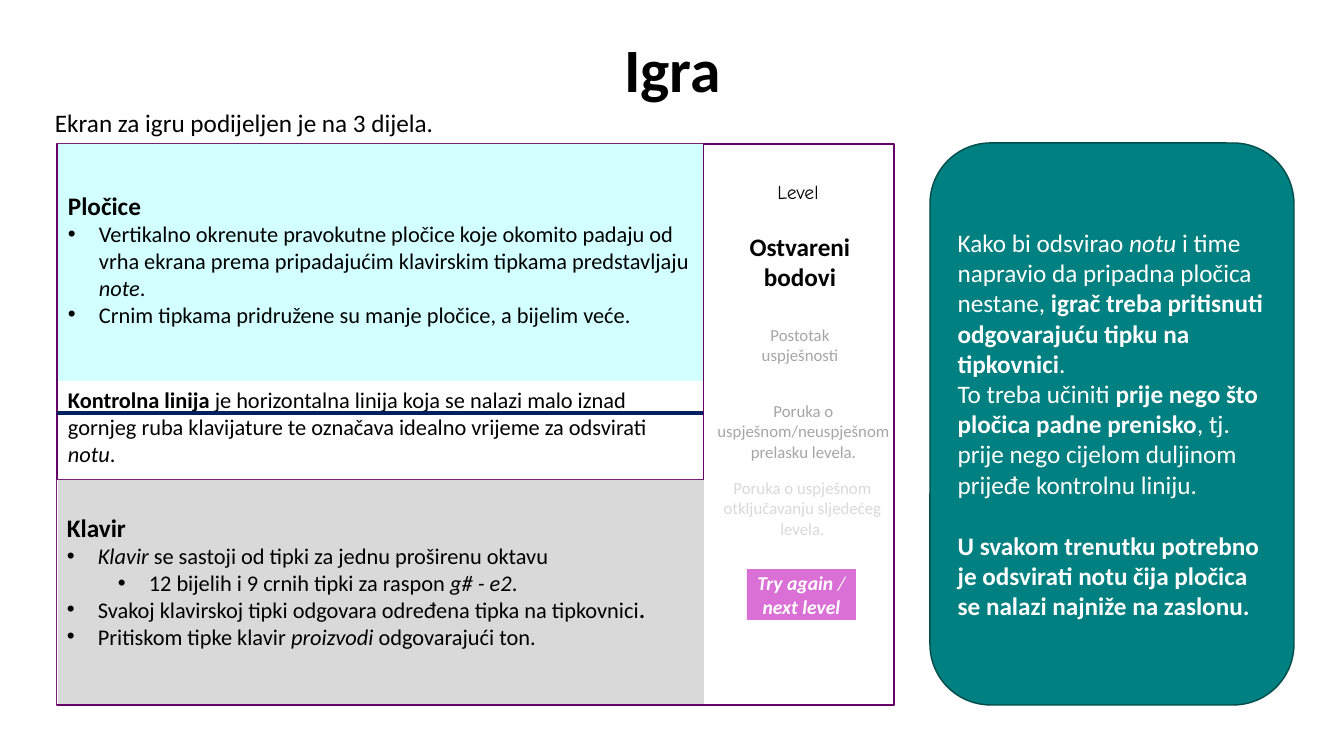
"""Build the slide that explains the three parts of the piano game screen."""
from lxml import etree
from pptx import Presentation
from pptx import util as u
from pptx.dml.color import RGBColor
from pptx.enum import dml, shapes, text
from pptx.oxml.ns import qn

EMU_PER_PIXEL = 914400 / 100.8
WHITE = RGBColor(0xFF, 0xFF, 0xFF)
BLACK = RGBColor(0x00, 0x00, 0x00)
PURPLE = RGBColor(0x66, 0x00, 0x66)
NAVY = RGBColor(0x00, 0x20, 0x60)
CYAN = RGBColor(0xD2, 0xFF, 0xFF)
LIGHT_GRAY = RGBColor(0xD9, 0xD9, 0xD9)
GRAY = RGBColor(0xA6, 0xA6, 0xA6)
TEAL = RGBColor(0x00, 0x80, 0x80)
DARK_TEAL = RGBColor(0x00, 0x4C, 0x4A)
ORCHID = RGBColor(0xDA, 0x70, 0xD6)
RECT = shapes.MSO_SHAPE.RECTANGLE
ROUNDED = shapes.MSO_SHAPE.ROUNDED_RECTANGLE
TOP, MIDDLE = text.MSO_ANCHOR.TOP, text.MSO_ANCHOR.MIDDLE
CENTER, LEFT = text.PP_ALIGN.CENTER, text.PP_ALIGN.LEFT

INDENT = 31
BULLET = {"size": 16, "indent": INDENT}
SUBBULLET = {"size": 16, "indent": 82, "level": 1}

TITLE = [({}, [("Igra", "b")])]
INTRO = [({}, [("Ekran za igru podijeljen je na 3 dijela.", "")])]
KEYBOARD = [
    ({}, [("Klavir", "b")]),
    (BULLET, [("Klavir", "i"), (" se sastoji od tipki za jednu proširenu oktavu", "")]),
    (SUBBULLET, [("12 bijelih i 9 crnih tipki za raspon ", ""), ("g# - e2", "i"), (".", "")]),
    (BULLET, [("Svakoj klavirskoj tipki odgovara određena tipka na tipkovnici", ""),
              (".", "b")]),
    (BULLET, [("Pritiskom tipke klavir ", ""), ("proizvodi ", "i"),
              ("odgovarajući ton.", "")]),
]
TILES = [
    ({}, [("Pločice", "b")]),
    (BULLET, [("Vertikalno okrenute pravokutne pločice koje okomito padaju od vrha ekrana "
               "prema pripadajućim klavirskim tipkama predstavljaju ", ""),
              ("note", "i"), (".", "")]),
    (BULLET, [("Crnim tipkama pridružene su manje pločice, a bijelim veće.", "")]),
]
CONTROL = [
    ({"size": 16}, [("Kontrolna linija ", "b"),
                    ("je horizontalna linija koja se nalazi malo iznad gornjeg ruba "
                     "klavijature te označava idealno vrijeme za odsvirati ", ""),
                    ("notu", "i"), (".", "")]),
]
RULES = [
    ({}, [("Kako bi odsvirao ", ""), ("notu ", "i"),
          ("i time napravio da pripadna pločica nestane, ", ""),
          ("igrač treba pritisnuti odgovarajuću tipku na tipkovnici", "b"), (".", "")]),
    ({}, [("To treba učiniti ", ""), ("prije nego što pločica padne prenisko", "b"),
          (", tj. prije nego cijelom duljinom prijeđe kontrolnu liniju.", "")]),
    ({"before": 22}, [("U svakom trenutku potrebno je odsvirati notu čija pločica se nalazi "
                       "najniže na zaslonu.", "b")]),
]
BUTTON = [({}, [("Try again ", "bi"), ("/ ", "i"), ("next level", "bi")])]
POINTS = [({}, [("Ostvareni", "b")]), ({}, [("bodovi", "b")])]
PERCENT = [({}, [("Postotak", "")]), ({}, [("uspješnosti", "")])]
UNLOCKED = [({}, [("Poruka o uspješnom otključavanju sljedećeg levela.", "")])]
RESULT = [({}, [("Poruka o uspješnom/neuspješnom prelasku levela.", "")])]
LEVEL = [({}, [("Level", "")])]

FRAME_LEFT, FRAME_TOP, DIVIDER, FRAME_BOTTOM = 57, 144, 703, 705
FRAME_RIGHT, CONTROL_TOP, KEYBOARD_TOP = 894, 381, 479
PART_WIDTH = DIVIDER - FRAME_LEFT

THIN_LINES = [
    (DIVIDER, FRAME_TOP, DIVIDER, FRAME_BOTTOM),
    (DIVIDER, KEYBOARD_TOP, FRAME_LEFT, KEYBOARD_TOP),
]
PARTS = [
    ((FRAME_LEFT, KEYBOARD_TOP + 1, PART_WIDTH, 224), LIGHT_GRAY, KEYBOARD, {"inset": 32}),
    ((FRAME_LEFT + 1, FRAME_TOP, PART_WIDTH - 1, 259), CYAN, TILES, {"inset": 46}),
    ((FRAME_LEFT + 1, CONTROL_TOP, PART_WIDTH - 1, 95), WHITE, CONTROL, {}),
]
LABELS = [
    ((45, 102, 401, 40), INTRO, {}),
    ((723, 226, 154, 72), POINTS, {"align": CENTER}),
    ((747, 320, 106, 50), PERCENT, {"align": CENTER, "size": 12, "color": GRAY}),
    ((703, 473, 199, 72), UNLOCKED, {"align": CENTER, "size": 12, "color": LIGHT_GRAY}),
    ((704, 396, 199, 72), RESULT, {"align": CENTER, "size": 12, "color": GRAY}),
    ((721, 175, 154, 34), LEVEL, {"align": CENTER, "size": 14, "font": "Comic Neue"}),
]


def px(length):
    return u.Emu(round(length * EMU_PER_PIXEL))


def apply(target, values):
    for name, value in values.items():
        setattr(target, name, value)


def add_bullet(para, indent):
    props = para._p.get_or_add_pPr()
    props.set("marL", str(px(indent)))
    props.set("indent", str(-px(INDENT)))
    etree.SubElement(props, qn("a:buFont")).set("typeface", "Arial")
    etree.SubElement(props, qn("a:buChar")).set("char", "•")


def write(box, paragraphs, size=18, color=BLACK, font="Calibri", align=LEFT,
          anchor=TOP, inset=5, line_spacing=1.0):
    frame = box.text_frame
    apply(frame, {"word_wrap": True, "vertical_anchor": anchor, "margin_top": px(inset),
                  "auto_size": text.MSO_AUTO_SIZE.NONE})
    for index, (style, spans) in enumerate(paragraphs):
        para = frame.add_paragraph() if index else frame.paragraphs[0]
        apply(para, {"alignment": align, "level": style.get("level", 0),
                     "line_spacing": line_spacing,
                     "space_before": u.Pt(style.get("before", 0))})
        if "indent" in style:
            add_bullet(para, style["indent"])
        for words, flags in spans:
            span = para.add_run()
            span.text = words
            apply(span.font, {"name": font, "size": u.Pt(style.get("size", size)),
                              "bold": "b" in flags, "italic": "i" in flags})
            span.font.color.rgb = color


def add_box(page, kind, place, fill, line=None):
    box = page.shapes.add_shape(kind, *map(px, place))
    box.shadow.inherit = False
    box.fill.solid()
    box.fill.fore_color.rgb = fill
    if line is None:
        box.line.fill.background()
    else:
        box.line.color.rgb = line
        box.line.width = u.Pt(1)
    return box


def add_line(page, ends, color, width):
    line = page.shapes.add_connector(shapes.MSO_CONNECTOR.STRAIGHT, *map(px, ends))
    line.line.color.rgb = color
    line.line.width = u.Pt(width)
    etree.SubElement(line._element.spPr, qn("a:effectLst"))


deck = Presentation()
apply(deck, {"slide_width": px(1344), "slide_height": px(756)})
page = deck.slides.add_slide(deck.slide_layouts[5])

title = page.shapes.title
apply(title, dict(zip(("left", "top", "width", "height"), map(px, (93, 0, 1159, 146)))))
write(title, TITLE, size=44, align=CENTER, anchor=MIDDLE, line_spacing=0.9)

add_box(page, RECT, (FRAME_LEFT, FRAME_TOP, FRAME_RIGHT - FRAME_LEFT,
                     FRAME_BOTTOM - FRAME_TOP), WHITE, PURPLE)
for ends in THIN_LINES:
    add_line(page, ends, PURPLE, 0.25)

for place, fill, words, style in PARTS:
    part = add_box(page, RECT, place, fill)
    if words is KEYBOARD:
        part.fill.patterned()
        part.fill.pattern = dml.MSO_PATTERN.DARK_VERTICAL
        part.fill.fore_color.rgb = LIGHT_GRAY
        part.fill.back_color.rgb = WHITE
    write(part, words, **style)
add_line(page, (FRAME_LEFT, 413, DIVIDER, 413), NAVY, 3)

for place, words, style in LABELS:
    write(page.shapes.add_textbox(*map(px, place)), words, **style)

rules = add_box(page, ROUNDED, (930, 143, 364, 562), TEAL, DARK_TEAL)
write(rules, RULES, color=WHITE, anchor=MIDDLE)
button = add_box(page, RECT, (747, 569, 109, 51), ORCHID)
write(button, BUTTON, size=14, color=WHITE, align=CENTER, anchor=MIDDLE)

deck.save("out.pptx")
